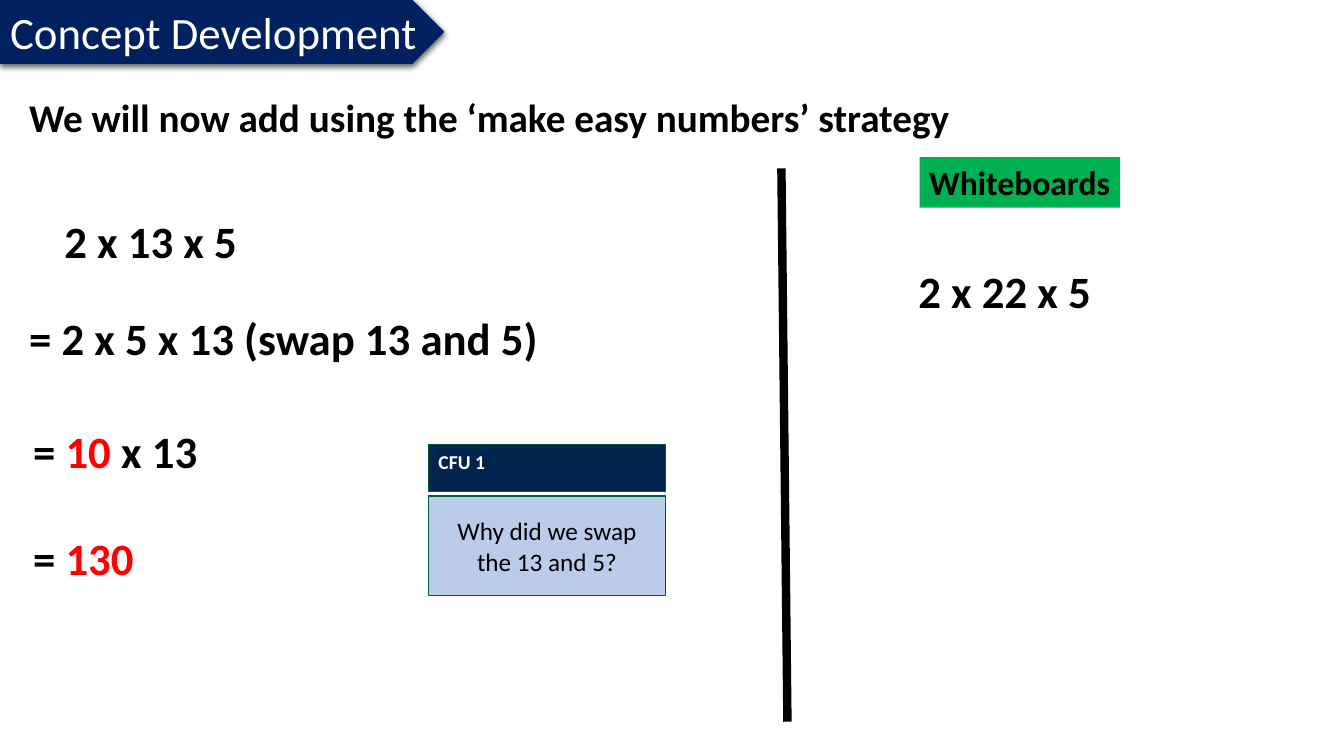
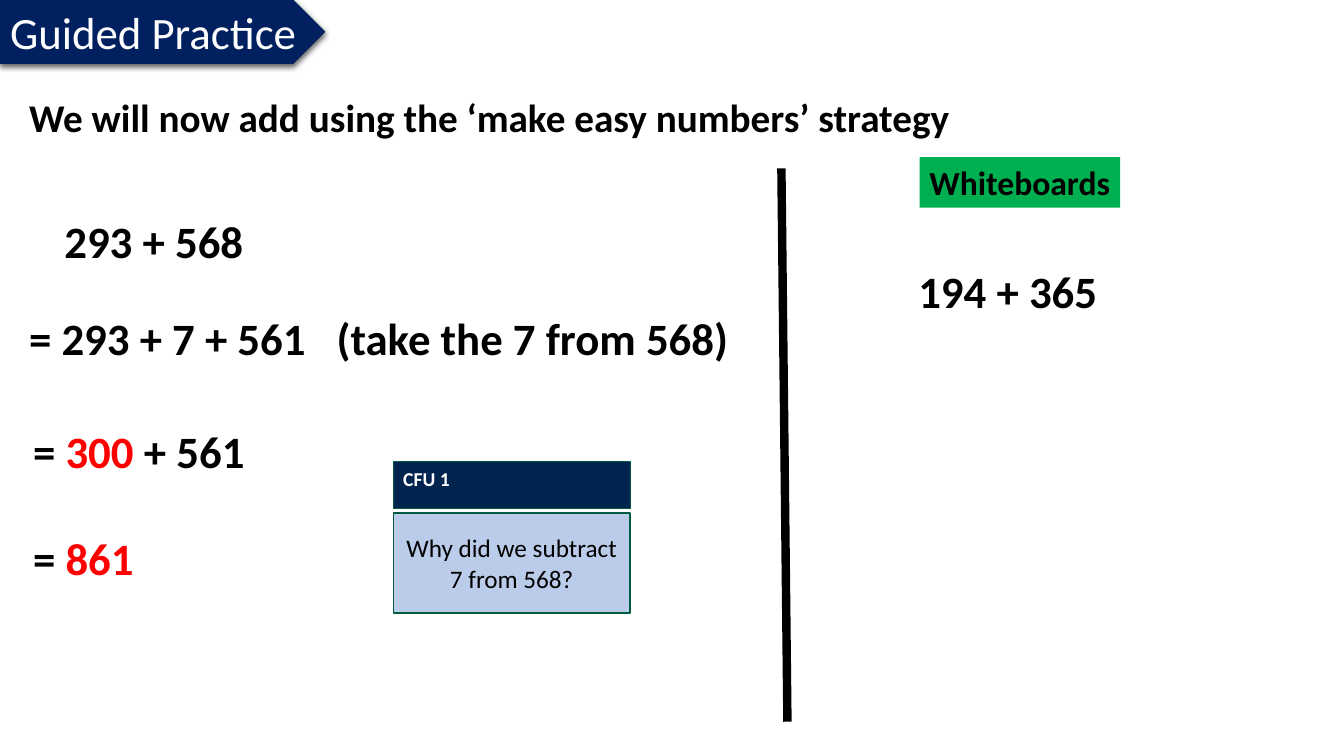
from pptx import Presentation
from pptx.dml.color import RGBColor
from pptx.enum.shapes import MSO_CONNECTOR, MSO_SHAPE
from pptx.enum.text import MSO_ANCHOR, MSO_AUTO_SIZE, PP_ALIGN
from pptx.oxml import parse_xml
from pptx.oxml.ns import nsdecls, qn
from pptx.util import Inches, Pt
from lxml import etree

RECTANGLE, ARROW_BANNER = MSO_SHAPE.RECTANGLE, MSO_SHAPE.PENTAGON
STRAIGHT = MSO_CONNECTOR.STRAIGHT
TOP, MIDDLE = MSO_ANCHOR.TOP, MSO_ANCHOR.MIDDLE
LEFT, CENTER = PP_ALIGN.LEFT, PP_ALIGN.CENTER
FIXED_SIZE = MSO_AUTO_SIZE.NONE

BLACK = RGBColor(0x00, 0x00, 0x00)
WHITE = RGBColor(0xFF, 0xFF, 0xFF)
RED = RGBColor(0xFF, 0x00, 0x00)
GREEN = RGBColor(0x00, 0xB0, 0x50)
BANNER_NAVY = RGBColor(0x00, 0x20, 0x60)
CARD_NAVY = RGBColor(0x01, 0x24, 0x4E)
CARD_BLUE = RGBColor(0x8F, 0xAA, 0xDC)
CARD_EDGE = RGBColor(0x00, 0x5C, 0x41)

FONT = "Calibri"
STRATEGY = "We will now add using the ‘make easy numbers’ strategy"
STEP_POSITIONS = [(0.54, 2.13), (0.19, 3.09), (0.23, 4.21), (0.23, 5.28)]
STEP_WIDTH, STEP_HEIGHT = 9.77, 0.72

# Each step is a list of (text, colour) runs.
LESSONS = [
    {
        "title": "Concept Development",
        "banner_width": 4.4,
        "steps": [
            [("2 x 13 x 5", BLACK)],
            [("= 2 x 5 x 13 (swap 13 and 5)", BLACK)],
            [("= ", BLACK), ("10 ", RED), ("x 13", BLACK)],
            [("= ", BLACK), ("130", RED)],
        ],
        "question": "Why did we swap the 13 and 5?",
        "card_at": (4.25, 4.41),
        "exercise": "2 x 22 x 5",
    },
    {
        "title": "Guided Practice",
        "banner_width": 3.22,
        "steps": [
            [("293 + 568", BLACK)],
            [("= 293 + 7 + 561\t(take the 7 from 568)", BLACK)],
            [("= ", BLACK), ("300 ", RED), ("+ 561", BLACK)],
            [("= ", BLACK), ("861", RED)],
        ],
        "question": "Why did we subtract 7 from 568?",
        "card_at": (3.9, 4.58),
        "exercise": "194 + 365",
    },
]


def write(shape, runs, size, bold=False, align=LEFT, anchor=TOP, wrap=True):
    frame = shape.text_frame
    frame.word_wrap = wrap
    frame.auto_size = FIXED_SIZE
    frame.vertical_anchor = anchor
    frame.margin_left = frame.margin_right = Inches(0.1)
    frame.margin_top = frame.margin_bottom = Inches(0.05)
    paragraph = frame.paragraphs[0]
    paragraph.alignment = align
    for text, color in runs:
        run = paragraph.add_run()
        run.text = text
        run.font.name = FONT
        run.font.size = Pt(size)
        run.font.bold = bold
        run.font.color.rgb = color
    return paragraph


def add_box(shapes, at, fill, edge=None, edge_width=0.75, outline=RECTANGLE):
    box = shapes.add_shape(outline, *map(Inches, at))
    box.shadow.inherit = False
    box.fill.solid()
    box.fill.fore_color.rgb = fill
    if edge is None:
        box.line.fill.background()
    else:
        box.line.color.rgb = edge
        box.line.width = Pt(edge_width)
    return box


def add_statement(slide, at, runs, size=32, tab=None):
    """Add a bold line of text, with an optional tab stop in inches."""
    statement = slide.shapes.add_textbox(*map(Inches, at))
    paragraph = write(statement, runs, size, bold=True)
    if tab is not None:
        properties = paragraph._p.get_or_add_pPr()
        stops = etree.SubElement(properties, qn("a:tabLst"))
        etree.SubElement(stops, qn("a:tab"), pos=str(Inches(tab)), algn="l")
    paragraph.line_spacing = 0.9


def add_title_banner(slide, text, width):
    """Lay the title over a shadowed arrow banner."""
    area = (0, 0, width, 0.63)
    banner = add_box(slide.shapes, area, BANNER_NAVY, BANNER_NAVY, outline=ARROW_BANNER)
    effects = banner._element.spPr.find(qn("a:effectLst"))
    effects.append(parse_xml(
        f'<a:outerShdw {nsdecls("a")} blurRad="{Pt(4.5)}" dist="{Pt(1.5)}" '
        'dir="5400000" rotWithShape="0">'
        '<a:srgbClr val="000000"><a:alpha val="63000"/></a:srgbClr></a:outerShdw>'))
    title = slide.shapes.title
    title.left, title.top, title.width, title.height = map(Inches, area)
    write(title, [(text, WHITE)], 32)
    title._element.addprevious(banner._element)


def add_question_card(slide, left, top, question):
    card = slide.shapes.add_group_shape().shapes
    header = add_box(card, (left, top, 2.35, 0.47), CARD_NAVY, CARD_EDGE)
    write(header, [("CFU 1", WHITE)], 14, bold=True)
    body = add_box(card, (left, top + 0.51, 2.35, 0.99), CARD_BLUE, CARD_EDGE, 1)
    color = body._element.spPr.find(qn("a:solidFill")).find(qn("a:srgbClr"))
    etree.SubElement(color, qn("a:alpha"), val="60000")
    write(body, [(question, BLACK)], 18, align=CENTER, anchor=MIDDLE)


def add_divider(slide):
    divider = slide.shapes.add_connector(
        STRAIGHT, Inches(7.75), Inches(1.67), Inches(7.81), Inches(7.16))
    divider.line.color.rgb = BLACK
    divider.line.width = Pt(6)
    etree.SubElement(divider._element.spPr, qn("a:effectLst"))


def add_whiteboard_task(slide, exercise):
    label = add_box(slide.shapes, (9.12, 1.56, 1.99, 0.5), GREEN)
    write(label, [("Whiteboards", BLACK)], 24, bold=True, wrap=False)
    add_statement(slide, (9.01, 2.63, 2.47, 0.69), [(exercise, BLACK)])


def add_lesson(deck, lesson):
    slide = deck.slides.add_slide(deck.slide_layouts[5])
    add_title_banner(slide, lesson["title"], lesson["banner_width"])
    add_statement(slide, (0.19, 0.93, STEP_WIDTH, 1), [(STRATEGY, BLACK)], 28)
    for (left, top), runs in zip(STEP_POSITIONS, lesson["steps"]):
        tab = 3.05 if "\t" in runs[0][0] else None
        add_statement(slide, (left, top, STEP_WIDTH, STEP_HEIGHT), runs, tab=tab)
    add_question_card(slide, *lesson["card_at"], lesson["question"])
    add_divider(slide)
    add_whiteboard_task(slide, lesson["exercise"])


def main():
    deck = Presentation()
    deck.slide_width, deck.slide_height = Inches(13.33), Inches(7.5)
    for lesson in LESSONS:
        add_lesson(deck, lesson)
    deck.save("out.pptx")


if __name__ == "__main__":
    main()
